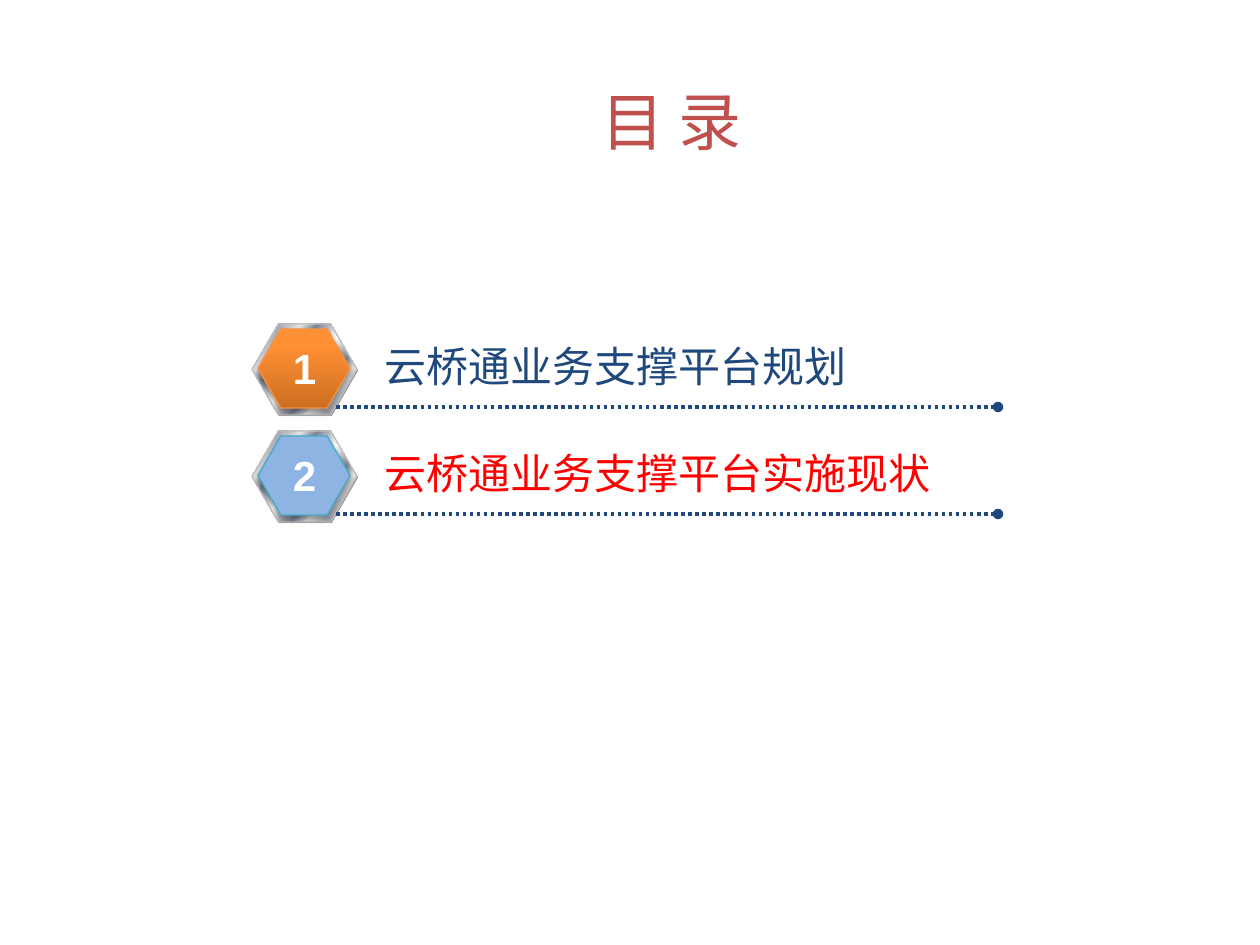
from dataclasses import dataclass

from lxml.etree import SubElement
from pptx import Presentation
from pptx.dml.color import RGBColor
from pptx.enum.dml import MSO_LINE
from pptx.enum.shapes import MSO_CONNECTOR, MSO_SHAPE
from pptx.enum.text import MSO_ANCHOR, MSO_AUTO_SIZE, PP_ALIGN
from pptx.oxml.ns import qn
from pptx.util import Pt

HEADING = "目 录"


@dataclass(frozen=True)
class Theme:
    heading: str = "C0504D"
    navy: str = "1F497D"
    highlight: str = "FF0000"
    white: str = "FFFFFF"
    hex_back: str = "808080"
    rim_line: str = "C0C0C0"
    orange_line: str = "F69240"
    blue_fill: str = "8EB4E3"
    blue_line: str = "46AAC5"
    shadow: str = "000000"
    heading_font: str = "Lato"
    body_font: str = "Arial"
    heading_size: int = 36
    body_size: int = 24
    metal: tuple = ((0, "E6E6E6"), (8, "7D8496"), (26, "E6E6E6"), (34, "7D8496"),
                    (46, "E6E6E6"), (50, "FFFFFF"), (54, "E6E6E6"), (66, "7D8496"),
                    (74, "E6E6E6"), (92, "7D8496"), (100, "E6E6E6"))
    orange: tuple = ((0, "CC6E20"), (80, "FF9034"), (100, "FF9136"))


THEME = Theme()

# label, label colour, badge fill, badge outline
AGENDA = [
    ("云桥通业务支撑平台规划", THEME.navy, THEME.orange, THEME.orange_line),
    ("云桥通业务支撑平台实施现状", THEME.highlight, THEME.blue_fill, THEME.blue_line),
]

# Pixels; the parts of a row are measured from the top of that row.
SLIDE_SIZE = (1260, 945)
HEADING_BOX = (505, 76, 333, 89)
FIRST_ROW, ROW_PITCH = 324, 107
BACK_BOX = (253, 1, 105, 91)
RIM_BOX = (252, 0, 105, 91)
CORE_BOX = (258, 5, 92, 79)
LABEL_BOX = (372, 10, 615, 64)
NUMBER_BOX = (280, 12, 49, 63)
RULE_LEFT, RULE_RIGHT, RULE_DROP = 336, 998, 83


def emu(px):
    return round(px * 914400 / 126)


def place(box, top=0):
    left, drop, width, height = box
    return [emu(v) for v in (left, top + drop, width, height)]


def rgb(code):
    return RGBColor.from_string(code)


def write(frame, text, color, font, size, bold=False, align=PP_ALIGN.LEFT):
    paragraph = frame.paragraphs[0]
    paragraph.alignment = align
    run = paragraph.add_run()
    run.text = text
    run.font.name = font
    run.font.size = Pt(size)
    run.font.bold = bold
    run.font.color.rgb = rgb(color)


def fill_gradient(shape, stops, angle):
    shape.fill.gradient()
    gradient = shape._element.spPr.find(qn("a:gradFill"))
    stop_list = gradient.find(qn("a:gsLst"))
    for default_stop in list(stop_list):
        stop_list.remove(default_stop)
    for percent, code in stops:
        stop = SubElement(stop_list, qn("a:gs"), pos=str(percent * 1000))
        SubElement(stop, qn("a:srgbClr"), val=code)
    gradient.find(qn("a:lin")).set("ang", str(angle * 60000))


def add_hexagon(shapes, box, top, fill, outline=None, angle=0):
    """A fill is one colour, or a tuple of gradient stops run at the angle."""
    hexagon = shapes.add_shape(MSO_SHAPE.HEXAGON, *place(box, top))
    hexagon.adjustments[0] = 0.289
    hexagon.adjustments[1] = 1.155
    hexagon.shadow.inherit = False
    if isinstance(fill, tuple):
        fill_gradient(hexagon, fill, angle)
    else:
        hexagon.fill.solid()
        hexagon.fill.fore_color.rgb = rgb(fill)
    if outline:
        hexagon.line.color.rgb = rgb(outline)
        hexagon.line.width = Pt(0.75)
    else:
        hexagon.line.fill.background()
    return hexagon


def drop_shadow(shape):
    effects = shape._element.spPr.find(qn("a:effectLst"))
    shadow = SubElement(effects, qn("a:outerShdw"), blurRad=str(Pt(3.1)),
                        dist=str(Pt(1.8)), dir=str(90 * 60000), rotWithShape="0")
    color = SubElement(shadow, qn("a:srgbClr"), val=THEME.shadow)
    SubElement(color, qn("a:alpha"), val="35000")


def add_rule(shapes, top):
    y = emu(top + RULE_DROP)
    rule = shapes.add_connector(MSO_CONNECTOR.STRAIGHT, emu(RULE_LEFT), y, emu(RULE_RIGHT), y)
    rule.line.color.rgb = rgb(THEME.navy)
    rule.line.width = Pt(2)
    rule.line.dash_style = MSO_LINE.ROUND_DOT
    SubElement(rule.line._get_or_add_ln(), qn("a:tailEnd"), type="oval")
    SubElement(rule._element.spPr, qn("a:effectLst"))


def add_text(shapes, box, top, text, color, wrap=True, **style):
    frame = shapes.add_textbox(*place(box, top)).text_frame
    frame.word_wrap = wrap
    write(frame, text, color, THEME.body_font, THEME.body_size, **style)


def add_agenda_row(slide, number, label, label_color, badge_fill, badge_line):
    top = FIRST_ROW + (number - 1) * ROW_PITCH
    shapes = slide.shapes.add_group_shape().shapes
    add_hexagon(shapes, BACK_BOX, top, THEME.hex_back)
    add_hexagon(shapes, RIM_BOX, top, THEME.metal, THEME.rim_line, angle=45)
    drop_shadow(add_hexagon(shapes, CORE_BOX, top, badge_fill, badge_line, angle=270))
    add_rule(shapes, top)
    add_text(shapes, LABEL_BOX, top, label, label_color)
    add_text(shapes, NUMBER_BOX, top, str(number), THEME.white, wrap=False,
             bold=True, align=PP_ALIGN.CENTER)


def add_heading(slide):
    heading = slide.shapes.title
    heading.left, heading.top, heading.width, heading.height = place(HEADING_BOX)
    frame = heading.text_frame
    frame.auto_size = MSO_AUTO_SIZE.NONE
    frame.vertical_anchor = MSO_ANCHOR.TOP
    write(frame, HEADING, THEME.heading, THEME.heading_font, THEME.heading_size,
          align=PP_ALIGN.CENTER)


def main():
    deck = Presentation()
    deck.slide_width, deck.slide_height = (emu(side) for side in SLIDE_SIZE)
    slide = deck.slides.add_slide(deck.slide_layouts.get_by_name("Title Only"))
    add_heading(slide)
    for number, row in enumerate(AGENDA, start=1):
        add_agenda_row(slide, number, *row)
    deck.save("out.pptx")


if __name__ == "__main__":
    main()
